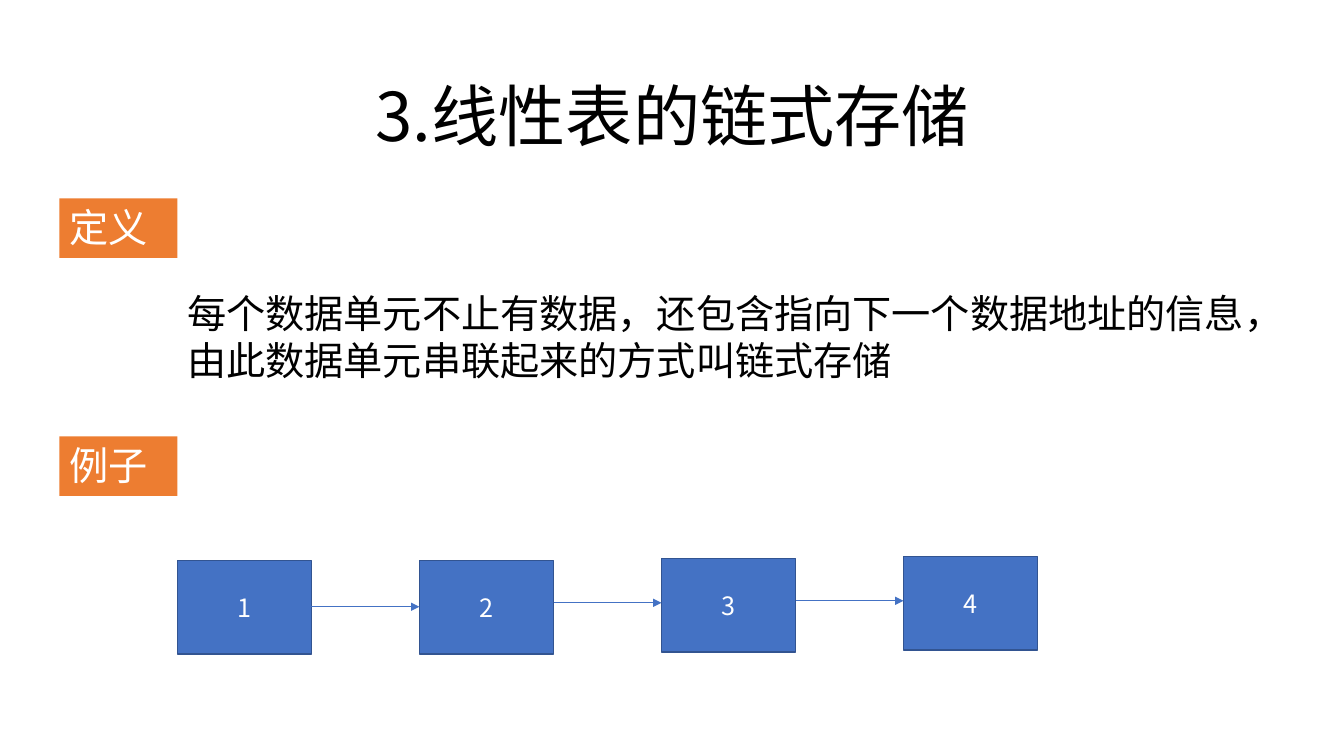
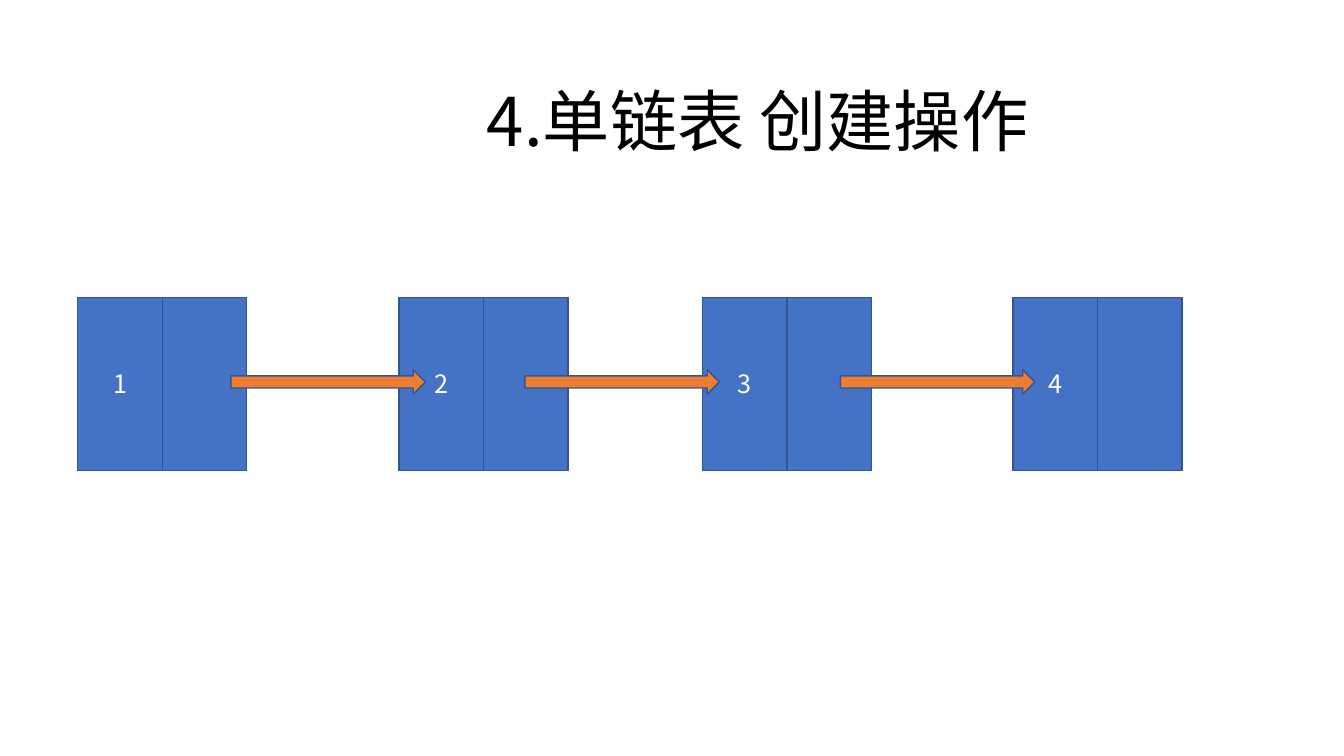
from lxml import etree
from pptx import Presentation
from pptx.dml.color import RGBColor
from pptx.enum.shapes import MSO_CONNECTOR, MSO_SHAPE
from pptx.enum.text import MSO_ANCHOR, PP_ALIGN
from pptx.oxml.ns import qn
from pptx.util import Cm, Pt

RECT, RIGHT_ARROW = MSO_SHAPE.RECTANGLE, MSO_SHAPE.RIGHT_ARROW
STRAIGHT = MSO_CONNECTOR.STRAIGHT
TOP, MIDDLE = MSO_ANCHOR.TOP, MSO_ANCHOR.MIDDLE
LEFT, CENTER = PP_ALIGN.LEFT, PP_ALIGN.CENTER

FONT = "Noto Sans CJK SC"
COLORS = {
    "text": "000000",
    "light": "FFFFFF",
    "accent": "ED7D31",
    "node": "4472C4",
    "outline": "325491",
}


def color(name):
    return RGBColor.from_string(COLORS[name])


def write(sp, text, size, name, align=LEFT, anchor=TOP):
    tf = sp.text_frame
    tf.word_wrap = True
    tf.vertical_anchor = anchor
    p = tf.paragraphs[0]
    p.text = text
    p.alignment = align
    p.font.size = Pt(size)
    p.font.color.rgb = color(name)
    p.font.name = FONT
    props = p._p.get_or_add_pPr().get_or_add_defRPr()
    etree.SubElement(props, qn("a:ea")).set("typeface", FONT)


def add_text(s, x, y, w, h, text, size, align=LEFT):
    sp = s.shapes.add_textbox(Cm(x), Cm(y), Cm(w), Cm(h))
    write(sp, text, size, "text", align)


def add_title(s, x, y, text):
    add_text(s, x, y, 22.45, 2.31, text, 48, CENTER)


def add_block(s, kind, x, y, w, h, fill, outlined=True):
    sp = s.shapes.add_shape(kind, Cm(x), Cm(y), Cm(w), Cm(h))
    sp.shadow.inherit = False
    sp.fill.solid()
    sp.fill.fore_color.rgb = color(fill)
    if outlined:
        sp.line.color.rgb = color("outline")
        sp.line.width = Pt(1)
    else:
        sp.line.fill.background()
    return sp


def add_tag(s, y, text):
    sp = add_block(s, RECT, 1.5, y, 2.97, 1.5, "accent", outlined=False)
    write(sp, text, 28, "light")


def add_node(s, x, y, w, h, text):
    sp = add_block(s, RECT, x, y, w, h, "node")
    write(sp, text, 18, "light", CENTER, MIDDLE)


def add_link(s, x1, x2, y):
    cn = s.shapes.add_connector(STRAIGHT, Cm(x1), Cm(y), Cm(x2), Cm(y))
    cn.line.color.rgb = color("node")
    cn.line.width = Pt(0.5)
    etree.SubElement(cn.line._get_or_add_ln(), qn("a:tailEnd")).set("type", "triangle")
    etree.SubElement(cn._element.spPr, qn("a:effectLst"))


def add_linked_storage(prs):
    s = prs.slides.add_slide(prs.slide_layouts[6])
    add_title(s, 5.72, 1.75, "3.线性表的链式存储")
    add_text(s, 4.47, 7.16, 27.43, 2.64,
             "每个数据单元不止有数据，还包含指向下一个数据地址的信息，"
             "由此数据单元串联起来的方式叫链式存储", 28)
    add_tag(s, 5, "定义")
    add_tag(s, 11, "例子")
    left, step, w, h = 4.47, 6.1, 3.38, 2.36
    for i, y in enumerate((14.12, 14.12, 14.07, 14.02)):
        add_node(s, left + i * step, y, w, h, str(i + 1))
    for i, y in enumerate((15.29, 15.19, 15.14)):
        x = left + i * step
        add_link(s, x + w, x + step, y)


def add_list_creation(prs):
    s = prs.slides.add_slide(prs.slide_layouts[6])
    add_title(s, 7.87, 1.88, "4.单链表 创建操作")
    y, w, h = 7.49, 2.13, 4.37
    for i, x in enumerate((1.96, 10.06, 17.7, 25.53)):
        add_node(s, x, y, w, h, str(i + 1))
        add_block(s, RECT, x + w, y, w, h, "node")
    for x in (5.82, 13.23, 21.18):
        add_block(s, RIGHT_ARROW, x, 9.32, 4.9, 0.61, "accent")


def main():
    prs = Presentation()
    prs.slide_width, prs.slide_height = Cm(33.87), Cm(19.05)
    add_linked_storage(prs)
    add_list_creation(prs)
    prs.save("out.pptx")


if __name__ == "__main__":
    main()
